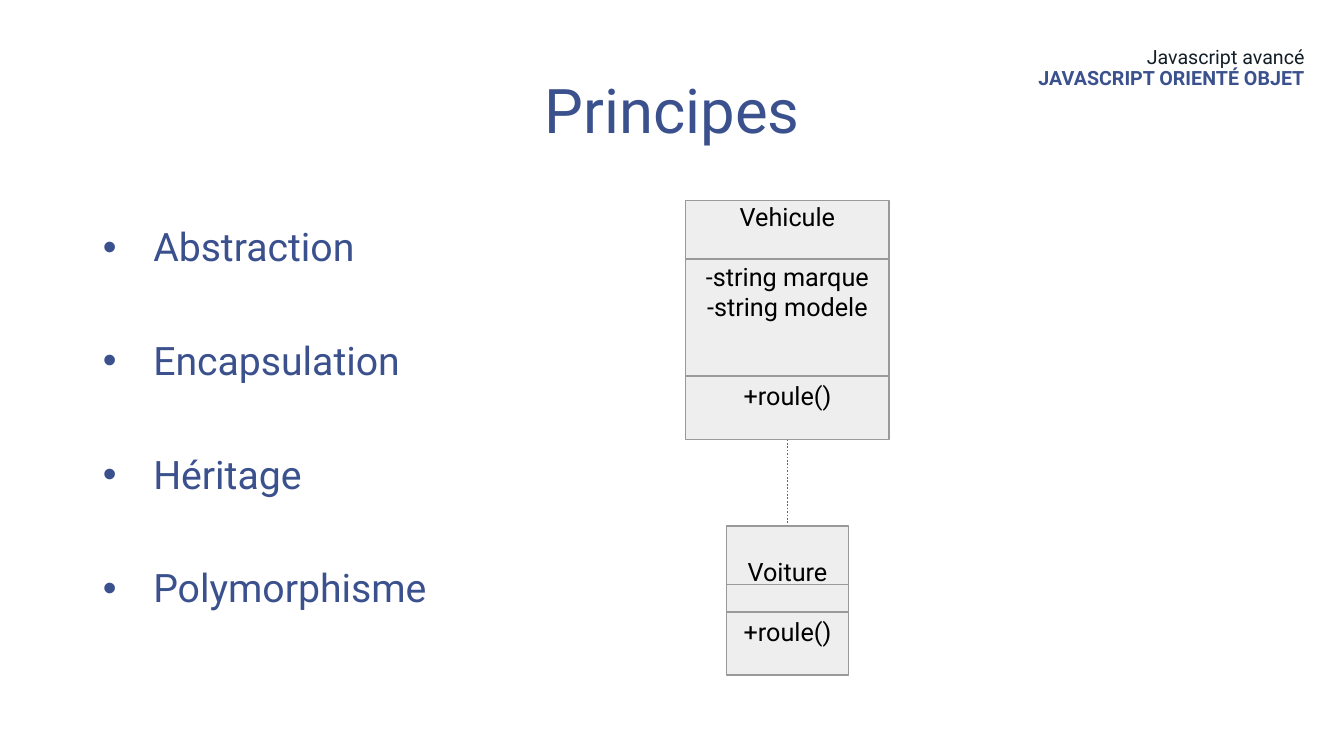
from lxml import etree
from pptx import Presentation
from pptx.dml.color import RGBColor
from pptx.enum.dml import MSO_LINE
from pptx.enum.shapes import MSO_CONNECTOR, MSO_SHAPE
from pptx.enum.text import MSO_ANCHOR, MSO_AUTO_SIZE, PP_ALIGN
from pptx.oxml.ns import qn
from pptx.util import Inches, Pt

COLORS = {"blue": "3B518E", "dark": "141E26", "text": "000000",
          "fill": "EEEEEE", "edge": "999999", "link": "666666"}
FONT = "Roboto"
EDGE = 1.23
BLANK = 21  # points in one empty line of class text


def rgb(name):
    return RGBColor.from_string(COLORS[name])


def place(shape, box):
    shape.left, shape.top, shape.width, shape.height = map(Inches, box)


def style(para, size, color, align, bold=False, spacing=0.9):
    para.alignment = align
    para.line_spacing = spacing
    for run in para.runs:
        run.font.name = FONT
        run.font.size = Pt(size)
        run.font.bold = bold
        run.font.color.rgb = rgb(color)


def add_header(slide, box, course, topic):
    frame = slide.shapes.add_textbox(*map(Inches, box)).text_frame
    frame.word_wrap = True
    frame.margin_left = frame.margin_right = 0
    frame.margin_top = frame.margin_bottom = 0
    frame.text = f"{course}\n{topic}"
    first, second = frame.paragraphs
    style(first, 14, "dark", PP_ALIGN.RIGHT)
    style(second, 14, "blue", PP_ALIGN.RIGHT, bold=True)


def add_title(slide, box, text):
    title = slide.shapes.title
    place(title, box)
    frame = title.text_frame
    frame.text = text
    frame.auto_size = MSO_AUTO_SIZE.NONE
    frame.vertical_anchor = MSO_ANCHOR.MIDDLE
    style(frame.paragraphs[0], 44, "blue", PP_ALIGN.CENTER)


def add_bullets(slide, box, items):
    body = slide.placeholders[1]
    place(body, box)
    frame = body.text_frame
    frame.text = "\n".join(items)
    frame.auto_size = MSO_AUTO_SIZE.NONE
    for i, para in enumerate(frame.paragraphs):
        style(para, 28, "blue", PP_ALIGN.LEFT)
        para.space_before = Pt(51 if i else 10)
        props = para._p.get_or_add_pPr()
        props.set("marL", str(Inches(0.5)))
        props.set("indent", str(-Inches(0.5)))
        etree.SubElement(props, qn("a:buFont")).set("typeface", "Arial")
        etree.SubElement(props, qn("a:buChar")).set("char", "•")


def add_line(slide, start, end, color):
    line = slide.shapes.add_connector(
        MSO_CONNECTOR.STRAIGHT, *map(Inches, start + end))
    line.line.color.rgb = rgb(color)
    line.line.width = Pt(EDGE)
    etree.SubElement(line._element.spPr, qn("a:effectLst"))
    return line


def add_class(slide, box, rules, lines, inset):
    """Draw a class box; rules are divider offsets, lines are (text, blank lines before)."""
    left, top, width, height = box
    rect = slide.shapes.add_shape(MSO_SHAPE.RECTANGLE, *map(Inches, box))
    rect.shadow.inherit = False
    rect.fill.solid()
    rect.fill.fore_color.rgb = rgb("fill")
    rect.line.color.rgb = rgb("edge")
    rect.line.width = Pt(EDGE)
    frame = rect.text_frame
    frame.word_wrap = True
    frame.vertical_anchor = MSO_ANCHOR.TOP
    frame.margin_left = frame.margin_right = Inches(0.05)
    frame.margin_top, frame.margin_bottom = Inches(inset), 0
    frame.text = "\n".join(text for text, _ in lines)
    for para, (_, blanks) in zip(frame.paragraphs, lines):
        style(para, 18, "text", PP_ALIGN.CENTER, spacing=1.0)
        para.space_before = Pt(blanks * BLANK)
    for rule in rules:
        add_line(slide, (left, top + rule), (left + width, top + rule), "edge")


def add_diagram(slide, box):
    left, top, width, height = box
    mid = left + width / 2
    parent, child, small = 2.37, 1.48, 1.21
    low = top + height - child
    link = add_line(slide, (mid, top + parent), (mid, low), "link")
    link.line.dash_style = MSO_LINE.ROUND_DOT
    add_class(slide, (left, top, width, parent), (0.58, 1.74),
              [("Vehicule", 0), ("-string marque", 1),
               ("-string modele", 0), ("+roule()", 2)], 0.01)
    add_class(slide, (mid - small / 2, low, small, child), (0.58, 0.85),
              [("Voiture", 0), ("+roule()", 1)], 0.3)


def main():
    prs = Presentation()
    prs.slide_width, prs.slide_height = Inches(13.33), Inches(7.5)
    slide = prs.slides.add_slide(prs.slide_layouts[1])
    add_header(slide, (4.18, 0.47, 8.76, 0.59),
               "Javascript avancé", "JAVASCRIPT ORIENTÉ OBJET")
    add_title(slide, (0.92, 0.4, 11.5, 1.45), "Principes")
    add_bullets(slide, (0.92, 2.21, 5.75, 4.89),
                ["Abstraction", "Encapsulation", "Héritage", "Polymorphisme"])
    add_diagram(slide, (6.8, 1.99, 2.02, 4.71))
    prs.save("out.pptx")


if __name__ == "__main__":
    main()
